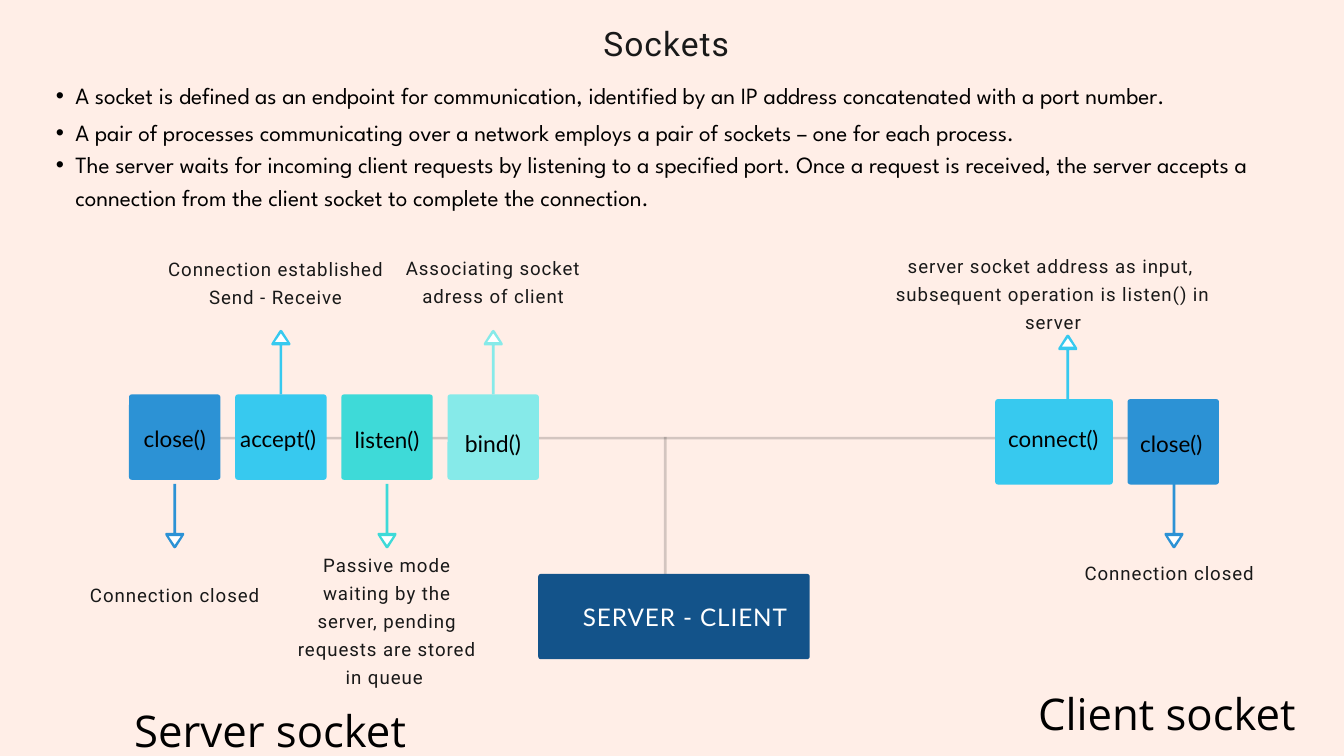
"""Build the Sockets slide: server and client calls along one line."""
import pptx
import pptx.util
import pptx.dml.color
import pptx.enum.shapes
import pptx.enum.text
import lxml.etree
from pptx.oxml.ns import qn

Inches, Pt = pptx.util.Inches, pptx.util.Pt
SHAPE = pptx.enum.shapes.MSO_SHAPE
ALIGN = pptx.enum.text.PP_ALIGN

HUES = {
    "back": "FFEEE7", "ink": "191919", "black": "000000", "white": "FFFFFF",
    "navy": "13538A", "blue": "2C92D5", "sky": "37C9EF",
    "teal": "3EDAD8", "mint": "86EAE9",
}
TITLE = "Sockets"
POINTS = [
    ("A socket is defined as an endpoint for communication, identified by an IP address "
     "concatenated with a port number.", 39.8),
    ("A pair of processes communicating over a network employs a pair of sockets – "
     "one for each process.", 39.8),
    ("The server waits for incoming client requests by listening to a specified port. "
     "Once a request is received, the server accepts a connection from the client socket "
     "to complete the connection.", 34.8),
]
SERVER = {
    "left": 1.92, "top": 5.87,
    "calls": [
        ("close()", 1.36, 2.6, "blue", "down", (1.92, 6.26, 1.36, 0.43), 24),
        ("accept()", 1.36, 4.18, "sky", "up", (3.48, 6.26, 1.32, 0.44), 23.9),
        ("listen()", 1.36, 5.76, "teal", "down", (5.18, 6.27, 1.16, 0.43), 24),
        ("bind()", 1.36, 7.34, "mint", "up", (6.84, 6.33, 0.99, 0.44), 24.6),
    ],
}
CLIENT = {
    "left": 14.81, "top": 5.94,
    "calls": [
        ("connect()", 1.75, 15.89, "sky", "up", (14.6, 6.26, 2.15, 0.44), 23.9),
        ("close()", 1.36, 17.47, "blue", "down", (16.75, 6.33, 1.36, 0.43), 24),
    ],
}
NOTES = [
    (["Associating socket adress of client"], (5.97, 3.74, 2.74, 0.81)),
    (["Connection established", "Send - Receive"], (2.45, 3.75, 3.3, 0.8)),
    (["Passive mode waiting by the server, pending requests are stored in queue "],
     (4.39, 8.16, 2.74, 2.04)),
    (["Connection closed"], (1.23, 8.61, 2.74, 0.4)),
    (["server socket address as input, ", "subsequent operation is listen() in server"],
     (13.29, 3.71, 4.76, 1.21)),
    (["Connection closed"], (16.03, 8.28, 2.74, 0.4)),
]
SIDES = [
    ("Client socket", (15.44, 10.09, 3.85, 0.88)),
    ("Server socket", (1.99, 10.34, 4.06, 0.88)),
]
HUB = ("SERVER - CLIENT", (8.01, 8.54, 4.04, 1.27), (8.54, 8.93, 3.31, 0.46))
RAILS = [(9.9, 6.5, 9.9, 9.77), (2.54, 6.52, 17.53, 6.52)]
GAP, TALL, ROUND, STROKE, LOW = 0.22, 1.27, 0.04, 2.8, 7.2
HALF = [(0.02, 0), (0.02, 0.73), (0.13, 0.73), (0.14, 0.74), (0.14, 0.76), (0.02, 0.95)]
RIM = HALF + [(0, 0.96)] + [(-x, y) for x, y in reversed(HALF)]
HOLE = [(0.09, 0.78), (-0.09, 0.78), (0, 0.91)]
CORE = (0.25, 0.19, 0.75)


def hue(name):
    return pptx.dml.color.RGBColor.from_string(HUES[name])


def place(item, area):
    item.left, item.top, item.width, item.height = [Inches(v) for v in area]


def write(item, lines, font, size, tone, pitch, track=0, align=ALIGN.CENTER):
    frame = item.text_frame
    frame.word_wrap = True
    frame.auto_size = pptx.enum.text.MSO_AUTO_SIZE.NONE
    frame.vertical_anchor = pptx.enum.text.MSO_ANCHOR.TOP
    frame.margin_left = frame.margin_right = frame.margin_top = frame.margin_bottom = 0
    for i, line in enumerate(lines):
        para = frame.paragraphs[0] if i == 0 else frame.add_paragraph()
        para.alignment, para.line_spacing = align, Pt(pitch)
        para.space_before = para.space_after = Pt(0)
        run = para.add_run()
        run.text = line
        run.font.name, run.font.size = font, Pt(size)
        run.font.color.rgb = hue(tone)
        if track:
            run._r.get_or_add_rPr().set("spc", str(round(track * 100)))


def label(slide, area, *style, **more):
    box = slide.shapes.add_textbox(*[Inches(v) for v in area])
    write(box, *style, **more)
    return box


def paint(item, fill):
    item.shadow.inherit = False
    item.fill.solid()
    item.fill.fore_color.rgb = hue(fill)
    item.line.fill.background()


def block(slide, kind, area, fill):
    item = slide.shapes.add_shape(kind, *[Inches(v) for v in area])
    paint(item, fill)
    return item


def card(slide, area, fill):
    item = block(slide, SHAPE.ROUNDED_RECTANGLE, area, fill)
    item.adjustments[0] = ROUND / TALL


def rail(slide, ends, tone, alpha):
    line = slide.shapes.add_connector(
        pptx.enum.shapes.MSO_CONNECTOR.STRAIGHT, *[Inches(v) for v in ends])
    line.line.width = Pt(STROKE)
    line.line.color.rgb = hue(tone)
    prop = line._element.spPr
    lxml.etree.SubElement(prop, qn("a:effectLst"))
    tint = prop.find(".//" + qn("a:srgbClr"))
    lxml.etree.SubElement(tint, qn("a:alpha")).set("val", str(alpha * 1000))


def arrow(slide, mid, start, way, tone):
    sign = -1 if way == "up" else 1
    wide, high, base = CORE
    top = min(start + sign * base, start + sign * (base + high))
    core = block(slide, SHAPE.ISOSCELES_TRIANGLE, (mid - wide / 2, top, wide, high), "white")
    core.rotation = 0 if way == "up" else 180
    rim, hole = [[(Inches(mid + x), Inches(start + sign * y)) for x, y in part]
                 for part in (RIM, HOLE)]
    pen = slide.shapes.build_freeform(*rim[0])
    pen.add_line_segments(rim[1:], close=True)
    pen.move_to(*hole[0])
    pen.add_line_segments(hole[1:], close=True)
    paint(pen.convert_to_shape(), tone)


def chain(slide, group):
    left, top = group["left"], group["top"]
    for text, wide, mid, tone, way, area, size in group["calls"]:
        card(slide, (left, top, wide, TALL), tone)
        arrow(slide, mid, top if way == "up" else LOW, way, tone)
        label(slide, area, [text], "Lato", size, "black", size * 1.4)
        left += wide + GAP


def bullets(slide):
    box = label(slide, (0.53, 1.07, 19.01, 2.06), [text for text, _ in POINTS],
                "League Spartan", 24.9, "black", 39.8, align=ALIGN.LEFT)
    for para, (_, pitch) in zip(box.text_frame.paragraphs, POINTS):
        para.line_spacing = Pt(pitch)
        prop = para._p.get_or_add_pPr()
        prop.set("marL", str(Inches(0.59)))
        prop.set("indent", str(Inches(-0.29)))
        lxml.etree.SubElement(prop, qn("a:buFont")).set("typeface", "Arial")
        lxml.etree.SubElement(prop, qn("a:buChar")).set("char", "•")


def main():
    deck = pptx.Presentation()
    deck.slide_width, deck.slide_height = Inches(20), Inches(11.25)
    slide = deck.slides.add_slide(deck.slide_layouts[5])
    slide.background.fill.solid()
    slide.background.fill.fore_color.rgb = hue("back")
    title = slide.shapes.title
    place(title, (5.65, 0.28, 8.53, 0.64))
    write(title, [TITLE], "Roboto", 36, "ink", 47.2, 1.1)
    for ends in RAILS:
        rail(slide, ends, "ink", 18)
    text, area, inner = HUB
    card(slide, area, "navy")
    label(slide, inner, [text], "Lato", 26, "white", 33.5, 1)
    for group in (SERVER, CLIENT):
        chain(slide, group)
    for lines, area in NOTES:
        label(slide, area, lines, "Roboto", 20, "ink", 30, 1)
    bullets(slide)
    for text, area in SIDES:
        label(slide, area, [text], "Open Sans", 46.8, "black", 65.5)
    deck.save("out.pptx")


if __name__ == "__main__":
    main()
